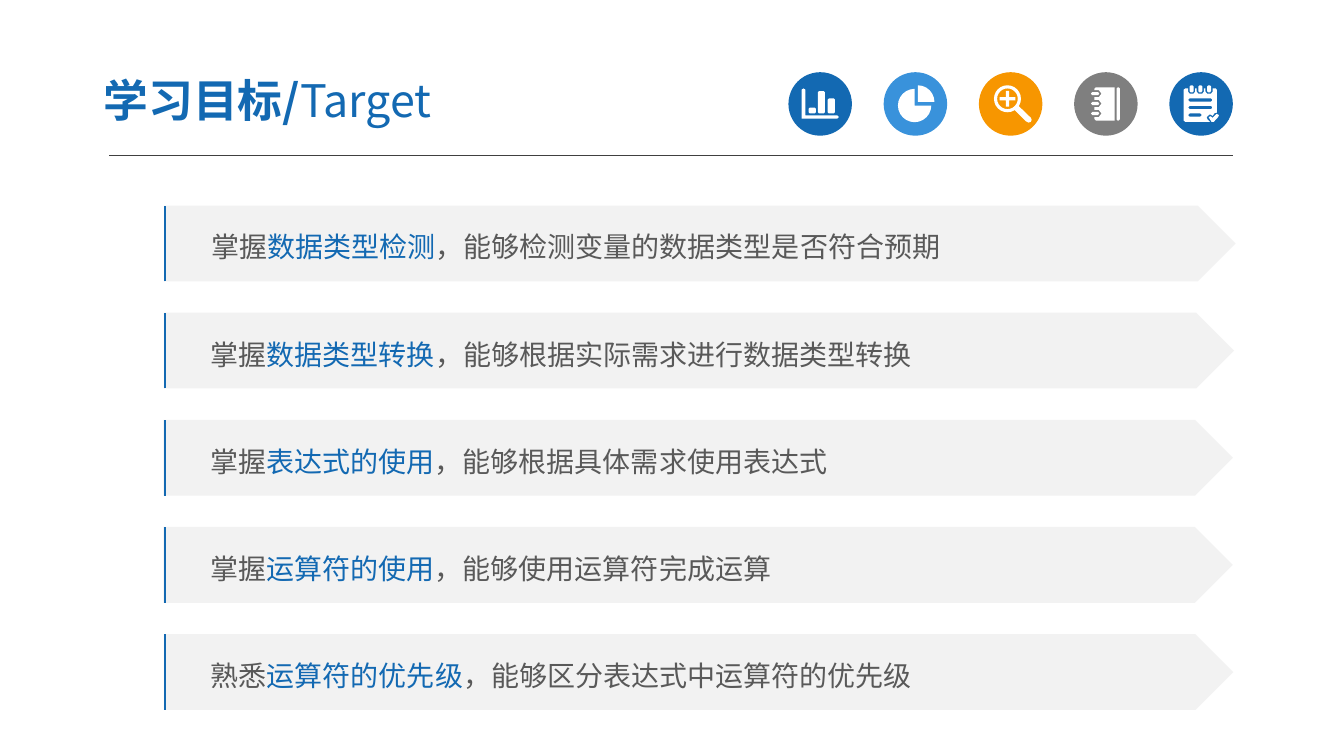
import math
from dataclasses import dataclass

from lxml import etree
from pptx import Presentation
from pptx import util as u
from pptx.dml import color as c
from pptx.enum import shapes as s, text as t
from pptx.oxml import ns

Cm = u.Cm
Kind = s.MSO_SHAPE


@dataclass(frozen=True)
class Theme:
    """Hold the colours, font and type sizes."""
    blue: str = "1369B2"
    sky: str = "3992DB"
    gold: str = "F79600"
    gray: str = "7F7F7F"
    rule: str = "404040"
    pale: str = "F2F2F2"
    ink: str = "595959"
    white: str = "FFFFFF"
    font: str = "Noto Sans CJK SC"
    head: int = 32
    body: int = 20


LOOK = Theme()

GOALS = [
    (4.14, 27, "掌握", "数据类型检测", "，能够检测变量的数据类型是否符合预期"),
    (4.13, 26.97, "掌握", "数据类型转换", "，能够根据实际需求进行数据类型转换"),
    (4.12, 26.95, "掌握", "表达式的使用", "，能够根据具体需求使用表达式"),
    (4.12, 26.95, "掌握", "运算符的使用", "，能够使用运算符完成运算"),
    (4.13, 26.95, "熟悉", "运算符的优先级", "，能够区分表达式中运算符的优先级"),
]


def style(item, form):
    """Set each attribute named in a dict of format values."""
    for key, value in form.items():
        setattr(item, key, value)


def rgb(tint):
    """Turn a hex string into a colour."""
    return c.RGBColor.from_string(tint)


def add_run(para, words, size, tint, bold=False):
    """Add one run of styled text."""
    run = para.add_run()
    run.text = words
    style(run.font, {"name": LOOK.font, "size": u.Pt(size), "bold": bold})
    run.font.color.rgb = rgb(tint)
    east = etree.SubElement(run.font._element, ns.qn("a:ea"))
    east.set("typeface", LOOK.font)


def paint(form, tint):
    """Fill a shape flat, without outline or shadow."""
    form.fill.solid()
    form.fill.fore_color.rgb = rgb(tint)
    form.line.fill.background()
    form.shadow.inherit = False


def add_form(slide, kind, box, tint):
    """Add a flat preset shape."""
    form = slide.shapes.add_shape(kind, *map(Cm, box))
    paint(form, tint)
    return form


def add_rule(slide):
    """Draw the line under the title."""
    ends = map(Cm, (2.76, 3.93, 31.07, 3.93))
    line = slide.shapes.add_connector(s.MSO_CONNECTOR.STRAIGHT, *ends)
    line.line.color.rgb = rgb(LOOK.rule)
    line.line.width = u.Pt(0.75)
    etree.SubElement(line._element.spPr, ns.qn("a:effectLst"))


def add_title(slide):
    """Place and fill the title."""
    title = slide.shapes.title
    style(title, {"left": Cm(2.28), "top": Cm(1.6),
                  "width": Cm(13.26), "height": Cm(1.83)})
    frame = title.text_frame
    style(frame, {"margin_left": Cm(0.33), "margin_right": Cm(0.33),
                  "margin_top": Cm(0.18), "margin_bottom": Cm(0.18),
                  "vertical_anchor": t.MSO_ANCHOR.MIDDLE,
                  "auto_size": t.MSO_AUTO_SIZE.NONE, "word_wrap": True})
    para = frame.paragraphs[0]
    para.alignment = t.PP_ALIGN.LEFT
    add_run(para, "学习目标/", LOOK.head, LOOK.blue, True)
    add_run(para, "Target", LOOK.head, LOOK.blue)


def bar(x, y, wide, high, cut=0.03):
    """Outline a box with trimmed corners."""
    right, low = x + wide, y + high
    return [(x + cut, y), (right - cut, y), (right, y + cut),
            (right, low - cut), (right - cut, low), (x + cut, low),
            (x, low - cut), (x, y + cut)]


def arc(x, y, size, start=0, stop=360, step=15):
    """List points on a clockwise arc."""
    turns = map(math.radians, range(start, stop + 1, step))
    return [(x + size * math.cos(a), y + size * math.sin(a)) for a in turns]


def chart_icon():
    """Outline axes and three bars."""
    axes = [(0.33, 0.44), (0.38, 0.41), (0.43, 0.44), (0.43, 1.09),
            (1.23, 1.09), (1.27, 1.13), (1.23, 1.17), (0.33, 1.17)]
    return [axes, bar(0.51, 0.89, 0.18, 0.15), bar(0.74, 0.48, 0.18, 0.56),
            bar(0.99, 0.66, 0.18, 0.38)]


def pie_icon():
    """Outline a pie with one slice moved out."""
    return [[(0.78, 0.84)] + arc(0.78, 0.84, 0.42, 0, 270),
            [(0.86, 0.75)] + arc(0.86, 0.75, 0.42, 270, 360)]


def lens_icon():
    """Outline a magnifier with a plus sign."""
    x, y, far, near = 0.72, 0.67, 0.2, 0.04
    plus = [(x - near, y - far), (x + near, y - far), (x + near, y - near),
            (x + far, y - near), (x + far, y + near), (x + near, y + near),
            (x + near, y + far), (x - near, y + far), (x - near, y + near),
            (x - far, y + near), (x - far, y - near), (x - near, y - near)]
    grip = [(0.91, 0.96), (1.01, 0.86), (1.31, 1.15), (1.33, 1.2),
            (1.31, 1.25), (1.25, 1.27), (1.19, 1.24)]
    return [arc(x, y, 0.34), arc(x, y, 0.26), plus, grip]


def book_icon():
    """Outline a notebook with three rings."""
    mids = (1.04, 0.79, 0.54)
    cover = [(0.55, 0.38), (1.02, 0.38), (1.02, 1.22), (0.55, 1.22),
             (0.51, 1.18)]
    for mid in mids:
        cover += [(0.51, mid + 0.09), (0.62, mid + 0.09), (0.69, mid),
                  (0.62, mid - 0.09), (0.51, mid - 0.09)]
    cover.append((0.51, 0.42))
    rings = [bar(0.43, mid - 0.04, 0.2, 0.08) for mid in mids]
    return [cover, bar(1.07, 0.38, 0.08, 0.84)] + rings


def list_icon():
    """Outline a checklist with binding and tick."""
    mids = (0.56, 0.78, 1)
    page = [(0.36, 0.44), (0.4, 0.41)]
    for mid in mids:
        page += [(mid - 0.09, 0.41), (mid - 0.09, 0.49), (mid - 0.05, 0.54),
                 (mid + 0.05, 0.54), (mid + 0.09, 0.49), (mid + 0.09, 0.41)]
    page += [(1.17, 0.41), (1.2, 0.45), (1.2, 1.02), (1.14, 1.03),
             (1.09, 1.1), (1.02, 1.06), (0.94, 1.13), (0.96, 1.19),
             (1.02, 1.25), (0.4, 1.25), (0.36, 1.22)]
    tick = [(0.99, 1.13), (1.04, 1.11), (1.09, 1.15), (1.19, 1.05),
            (1.25, 1.08), (1.23, 1.13), (1.12, 1.25), (1.06, 1.25)]
    lines = [bar(0.48, y, wide, 0.08)
             for y, wide in ((0.66, 0.6), (0.85, 0.6), (1.04, 0.33))]
    rings = [bar(mid - 0.05, 0.33, 0.1, 0.18) for mid in mids]
    return [page, tick] + lines + rings


def add_icon(slide, left, tint, loops):
    """Draw a round badge and its white symbol."""
    top = 1.82
    add_form(slide, Kind.OVAL, (left, top, 1.6, 1.6), tint)
    pen = None
    for loop in loops:
        first, *rest = [(Cm(left + x), Cm(top + y)) for x, y in loop]
        if pen is None:
            pen = slide.shapes.build_freeform(*first)
        else:
            pen.move_to(*first)
        pen.add_line_segments(rest, close=True)
    paint(pen.convert_to_shape(), LOOK.white)


def add_edge(slide, x, top, high):
    """Draw the blue edge of a banner."""
    pen = slide.shapes.build_freeform(Cm(x), Cm(top + high))
    pen.add_line_segments([(Cm(x), Cm(top))], close=False)
    pen.move_to(Cm(x + 0.4), Cm(top))
    edge = pen.convert_to_shape()
    edge.fill.background()
    edge.shadow.inherit = False
    edge.line.color.rgb = rgb(LOOK.blue)
    edge.line.width = u.Pt(1.5)


def add_goal(slide, top, left, wide, *words):
    """Draw one goal banner with its edge."""
    high = 1.91
    form = add_form(slide, Kind.PENTAGON, (left, top, wide, high), LOOK.pale)
    frame = form.text_frame
    style(frame, {"margin_left": Cm(1.18), "word_wrap": True,
                  "vertical_anchor": t.MSO_ANCHOR.MIDDLE})
    para = frame.paragraphs[0]
    style(para, {"alignment": t.PP_ALIGN.LEFT, "line_spacing": 1.2})
    for part, tint in zip(words, (LOOK.ink, LOOK.blue, LOOK.ink)):
        add_run(para, part, LOOK.body, tint)
    add_edge(slide, left + 0.03, top, high)


def main():
    """Build and save the slide."""
    deck = Presentation()
    style(deck, {"slide_width": Cm(33.87), "slide_height": Cm(19.05)})
    slide = deck.slides.add_slide(deck.slide_layouts[5])
    add_rule(slide)
    icons = [(LOOK.blue, chart_icon), (LOOK.sky, pie_icon),
             (LOOK.gold, lens_icon), (LOOK.gray, book_icon),
             (LOOK.blue, list_icon)]
    for i, (tint, icon) in enumerate(icons):
        add_icon(slide, 19.87 + 2.4 * i, tint, icon())
    add_title(slide)
    for i, goal in enumerate(GOALS):
        add_goal(slide, 5.18 + 2.7 * i, *goal)
    deck.save("out.pptx")


if __name__ == "__main__":
    main()
